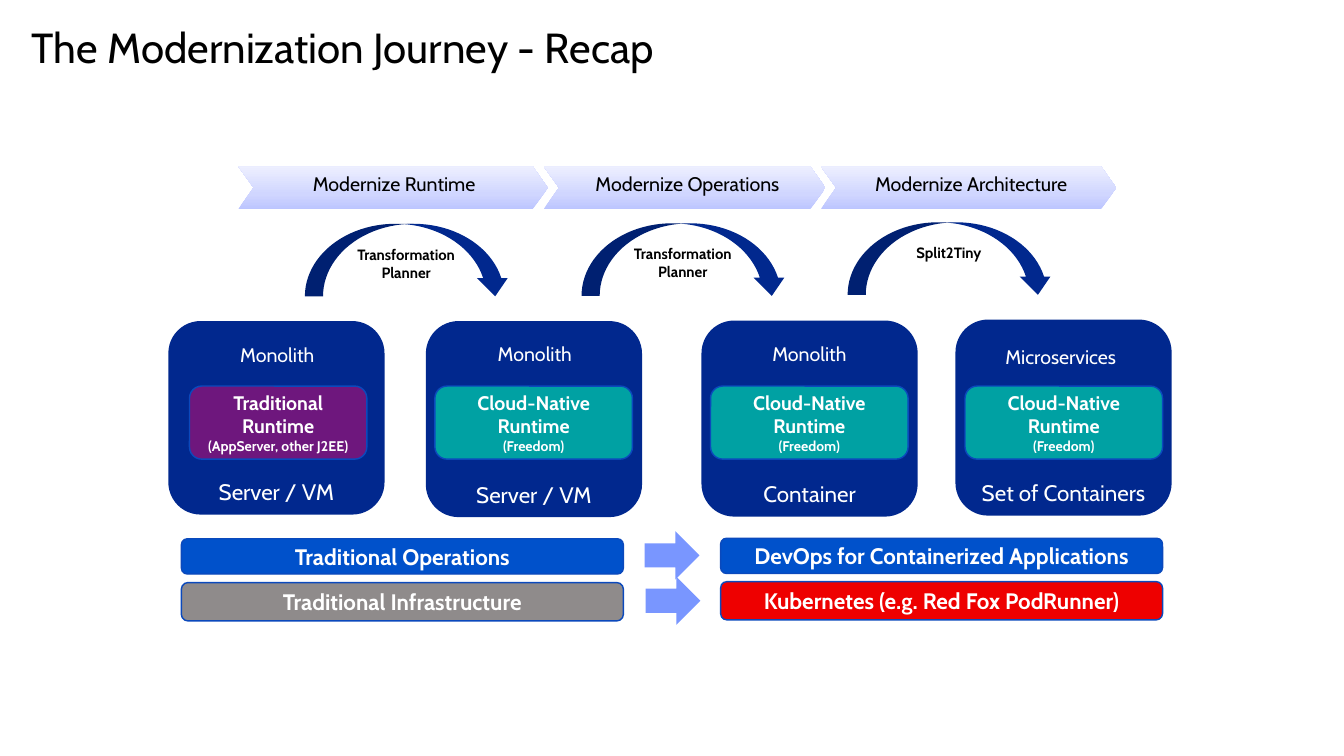
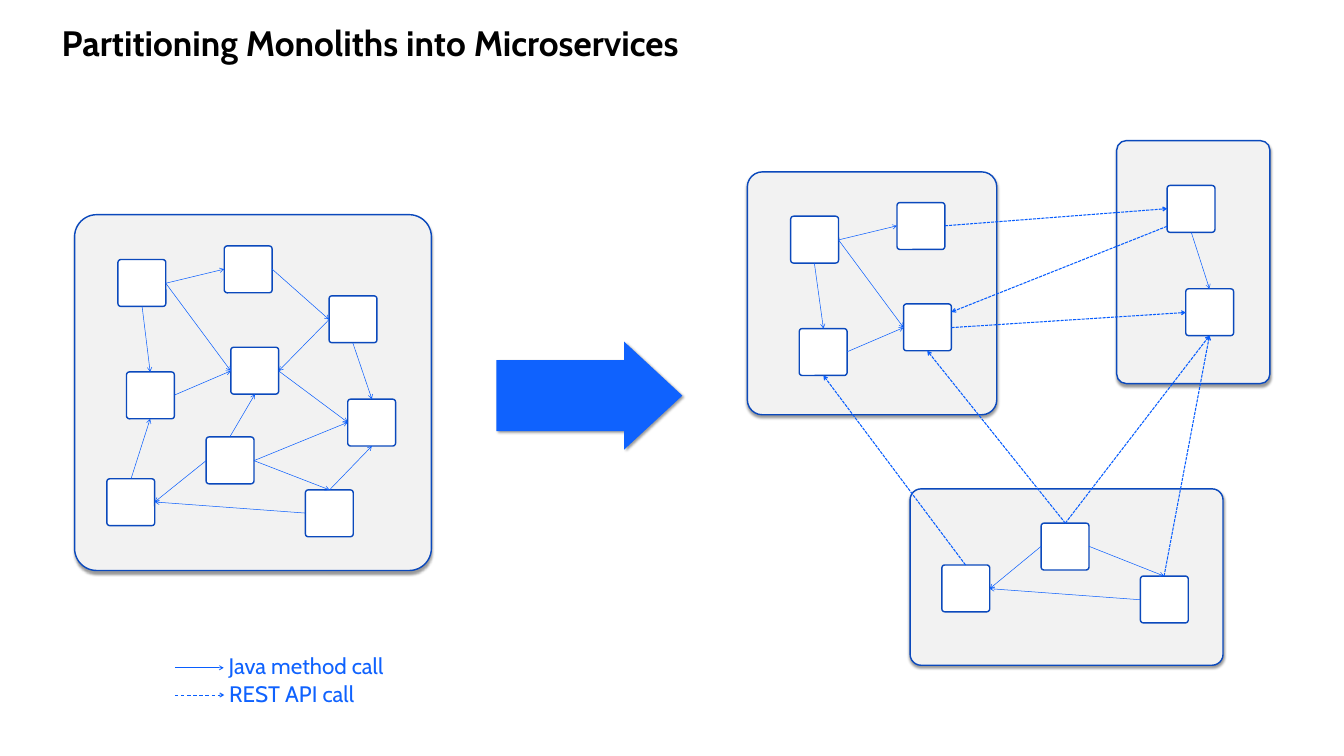
from copy import deepcopy

from lxml import etree
from pptx import Presentation
from pptx import util as u
from pptx.dml.color import RGBColor
from pptx.enum import dml, shapes, text
from pptx.oxml.ns import qn

PX = 9144  # 100 px to the inch
FONT = "Cabin"
COLORS = {
    "black": "000000", "white": "FFFFFF", "navy": "01288E", "blue": "0051CB",
    "edge": "0B49BC", "call": "095EFE", "accent": "0F62FE", "step": "7996FF",
    "teal": "00A1A3", "purple": "6E177D", "gray": "8F8B8B", "red": "EE0000",
    "panel": "F2F2F2", "fade_low": "BCC5FF", "fade_mid": "D0D6FF", "fade_top": "EDEFFF",
}
RGB = {name: RGBColor.from_string(value) for name, value in COLORS.items()}
KIND = shapes.MSO_SHAPE
TOP, MIDDLE, BOTTOM = (text.MSO_ANCHOR.TOP, text.MSO_ANCHOR.MIDDLE, text.MSO_ANCHOR.BOTTOM)
LEFT, CENTER = text.PP_ALIGN.LEFT, text.PP_ALIGN.CENTER

prs = Presentation()
prs.slide_width, prs.slide_height = 2667 * PX, 1500 * PX
title_only = prs.slide_layouts[5]


def write(s, content, size=28, color="white", bold=False, align=CENTER,
          anchor=TOP, margin=None, wrap=True, note=None):
    """Fill a shape with one paragraph per line, plus a small note after a line break."""
    tf = s.text_frame
    tf.word_wrap = wrap
    tf.auto_size = text.MSO_AUTO_SIZE.NONE
    tf.vertical_anchor = anchor
    if margin is not None:
        tf.margin_left = tf.margin_right = tf.margin_top = tf.margin_bottom = margin * PX
    for i, line in enumerate(content.split("\n")):
        p = tf.paragraphs[0] if i == 0 else tf.add_paragraph()
        p.alignment = align
        p.space_before = u.Pt(0)
        runs = [(p.add_run(), line, size)]
    if note:
        # Every paragraph but the last is already complete
        p.add_line_break()
        runs.append((p.add_run(), note, 20))
    for p, line in zip(tf.paragraphs, content.split("\n")):
        p.runs[0].text = line
        for r in p.runs:
            r.font.size = u.Pt(size)
            r.font.name = FONT
            r.font.bold = bold
            r.font.color.rgb = RGB[color]
    for r, line, points in runs:
        r.text = line
        r.font.size = u.Pt(points)


def add_shape(sp, kind, box, fill, line=None, adj=(), shadow_angle=None):
    s = sp.add_shape(kind, *(v * PX for v in box))
    s.shadow.inherit = False
    for i, value in enumerate(adj):
        s.adjustments[i] = value
    s.fill.solid()
    s.fill.fore_color.rgb = RGB[fill]
    if line:
        s.line.color.rgb = RGB[line]
        s.line.width = u.Pt(2)
    else:
        s.line.fill.background()
    if shadow_angle is not None:
        effects = s._element.spPr.find(qn("a:effectLst"))
        shadow = etree.SubElement(effects, qn("a:outerShdw"), blurRad="50800", dist="38100",
                                  dir=str(shadow_angle * 60000), rotWithShape="0")
        black = etree.SubElement(shadow, qn("a:srgbClr"), val=COLORS["black"])
        etree.SubElement(black, qn("a:alpha"), val="40000")
    return s


# Slides and titles
slides = []
for heading, width, size, bold, align in [
    ("The Modernization Journey - Recap", 1619, 60, False, LEFT),
    ("Partitioning Monoliths into Microservices", 1343, 50.4, True, CENTER),
]:
    slide = prs.slides.add_slide(title_only)
    title = slide.shapes.title
    title.left, title.top, title.width, title.height = (v * PX for v in (63, 42, width, 167))
    write(title, heading, size=size, color="black", bold=bold, align=align, margin=0)
    slides.append(slide)

# Slide 1: phase chevrons
sp = slides[0].shapes
for label, x, width, text_x in [
    ("Modernize Architecture", 1629, 586, 1637),
    ("Modernize Runtime", 473, 614, 492),
    ("Modernize Operations", 1079, 559, 1074),
]:
    s = add_shape(sp, KIND.CHEVRON, (x, 330, width, 85), "fade_mid", adj=[0.355])
    s.fill.gradient()
    s.fill.gradient_angle = 90
    stop_list = s._element.spPr.find(".//" + qn("a:gsLst"))
    stop_list.append(deepcopy(stop_list[-1]))
    for stop, place, color in zip(s.fill.gradient_stops, (0, 0.35, 1),
                                  ("fade_low", "fade_mid", "fade_top")):
        stop.position = place
        stop.color.rgb = RGB[color]
    write(sp.add_textbox(text_x * PX, 337 * PX, 580 * PX, 57 * PX), label, color="black")

# Slide 1: curved arrows with the tool for each step
for tool, x, y in [
    ("Transformation Planner", 657, 482),
    ("Transformation Planner", 1206, 481),
    ("Split2Tiny", 1734, 479),
]:
    write(sp.add_textbox(x * PX, y * PX, 298 * PX, 82 * PX), tool,
          size=21.3, color="black", bold=True)
    s = add_shape(sp, KIND.CURVED_LEFT_ARROW, (x + 80, y - 170, 144, 408), "navy",
                  adj=[0.25, 0.422, 0.25])
    s.rotation = 270

# Slide 1: operations and infrastructure bars
for label, x, y, height, fill in [
    ("Traditional Infrastructure", 360, 1156, 76, "gray"),
    ("Traditional Operations", 360, 1069, 70, "blue"),
    ("Kubernetes (e.g. Red Fox PodRunner)", 1430, 1154, 76, "red"),
    ("DevOps for Containerized Applications", 1430, 1068, 70, "blue"),
]:
    s = add_shape(sp, KIND.ROUNDED_RECTANGLE, (x, y, 877, height), fill, line="edge")
    write(s, label, size=32, bold=True, anchor=MIDDLE)
for x, y in [(1279, 1054), (1281, 1144)]:
    add_shape(sp, KIND.RIGHT_ARROW, (x, y, 109, 96), "step")

# Slide 1: application cards
modern = ("Cloud-Native\nRuntime", "(Freedom)", "teal", 392)
legacy = ("Traditional\nRuntime", "(AppServer, other J2EE)", "purple", 352)
for app, host, x, y, height, app_x, app_y, tile_x, tile in [
    ("Monolith", "Server / VM", 334, 637, 384, 368, 676, 376, legacy),
    ("Monolith", "Server / VM", 845, 637, 389, 879, 673, 863, modern),
    ("Monolith", "Container", 1392, 636, 389, 1424, 673, 1410, modern),
    ("Microservices", "Set of Containers", 1896, 634, 389, 1923, 679, 1915, modern),
]:
    card = add_shape(sp, KIND.ROUNDED_RECTANGLE, (x, y, 429, height), "navy")
    write(card, host, size=32, anchor=BOTTOM, margin=0)
    write(sp.add_textbox(app_x * PX, app_y * PX, 364 * PX, 57 * PX), app)
    runtime, product, fill, width = tile
    s = add_shape(sp, KIND.ROUNDED_RECTANGLE, (tile_x, 766, width, 145), fill, line="edge")
    write(s, runtime, bold=True, anchor=MIDDLE, note=product)

# Slide 2: the monolith's classes, and the partitions they move to
sp = slides[1].shapes
NODE_W, NODE_H = 95, 93
monolith = {
    "A": (234, 515), "B": (445, 488), "C": (653, 587),
    "D": (251, 738), "E": (458, 689), "F": (212, 950),
    "G": (409, 867), "H": (690, 792), "I": (606, 972),
}
partitions = [  # panel, members, shift from the monolith
    ((1483, 341, 495, 482), "ABDE", 1335, -86),
    ((148, 426, 708, 706), "ABCDEFGHI", 0, 0),
    ((1806, 970, 621, 350), "FGI", 1657, 171),
    ((2216, 279, 304, 482), "CH", 1663, -219),
]
services, home = {}, {}
for panel, members, dx, dy in partitions:
    add_shape(sp, KIND.ROUNDED_RECTANGLE, panel, "panel", line="edge",
              adj=[0.062], shadow_angle=90)
    for name in members:
        x, y = monolith[name][0] + dx, monolith[name][1] + dy
        add_shape(sp, KIND.ROUNDED_RECTANGLE, (x, y, NODE_W, NODE_H), "white",
                  line="edge", adj=[0.062])
        if dx:
            services[name] = (x, y)
            home[name] = panel

# Slide 2: calls; those that cross partitions turn into REST calls
SIDES = {"left": (0, 0.5), "right": (1, 0.5), "top": (0.5, 0), "bottom": (0.5, 1),
         "low left": (0, 0.87), "high right": (1, 0.17)}
calls = [
    ("A", "right", "B", "left"), ("A", "right", "E", "left"), ("A", "bottom", "D", "top"),
    ("B", "right", "C", "left"), ("C", "left", "E", "right"), ("C", "bottom", "H", "top"),
    ("D", "right", "E", "left"), ("E", "right", "H", "left"), ("F", "top", "D", "bottom"),
    ("G", "top", "E", "bottom"), ("G", "right", "H", "left"), ("G", "right", "I", "top"),
    ("G", "left", "F", "right"), ("I", "left", "F", "right"), ("I", "top", "H", "bottom"),
]
rerouted = {("C", "E"): ("low left", "high right"), ("G", "H"): ("top", "bottom")}
DASH = dml.MSO_LINE
lines = [(347, 1325, 444, 1325, 1, None), (347, 1379, 445, 1379, 1.25, DASH.DASH)]  # legend
for nodes in (monolith, services):
    for start, start_side, end, end_side in calls:
        width, dash = 0.75, None
        if nodes is services:
            start_side, end_side = rerouted.get((start, end), (start_side, end_side))
            if home[start] != home[end]:
                width, dash = 1.5, DASH.SQUARE_DOT
        ends = []
        for name, side in ((start, start_side), (end, end_side)):
            ends.append(round(nodes[name][0] + SIDES[side][0] * NODE_W))
            ends.append(round(nodes[name][1] + SIDES[side][1] * NODE_H))
        lines.append((*ends, width, dash))

for x1, y1, x2, y2, width, dash in lines:
    c = sp.add_connector(shapes.MSO_CONNECTOR.STRAIGHT, x1 * PX, y1 * PX, x2 * PX, y2 * PX)
    c.line.color.rgb = RGB["call"]
    c.line.width = u.Pt(width)
    if dash:
        c.line.dash_style = dash
    spPr = c._element.spPr
    etree.SubElement(spPr.find(qn("a:ln")), qn("a:tailEnd"), type="arrow")
    etree.SubElement(spPr, qn("a:effectLst"))

# Slide 2: legend labels and the big arrow
for label, x, y, width in [("Java method call", 444, 1289, 356),
                           ("REST API call", 445, 1344, 289)]:
    write(sp.add_textbox(x * PX, y * PX, width * PX, 64 * PX), label,
          size=32, color="accent", align=LEFT, wrap=False)
add_shape(sp, KIND.RIGHT_ARROW, (985, 678, 369, 214), "accent",
          adj=[0.66, 0.539], shadow_angle=45)

prs.save("out.pptx")
